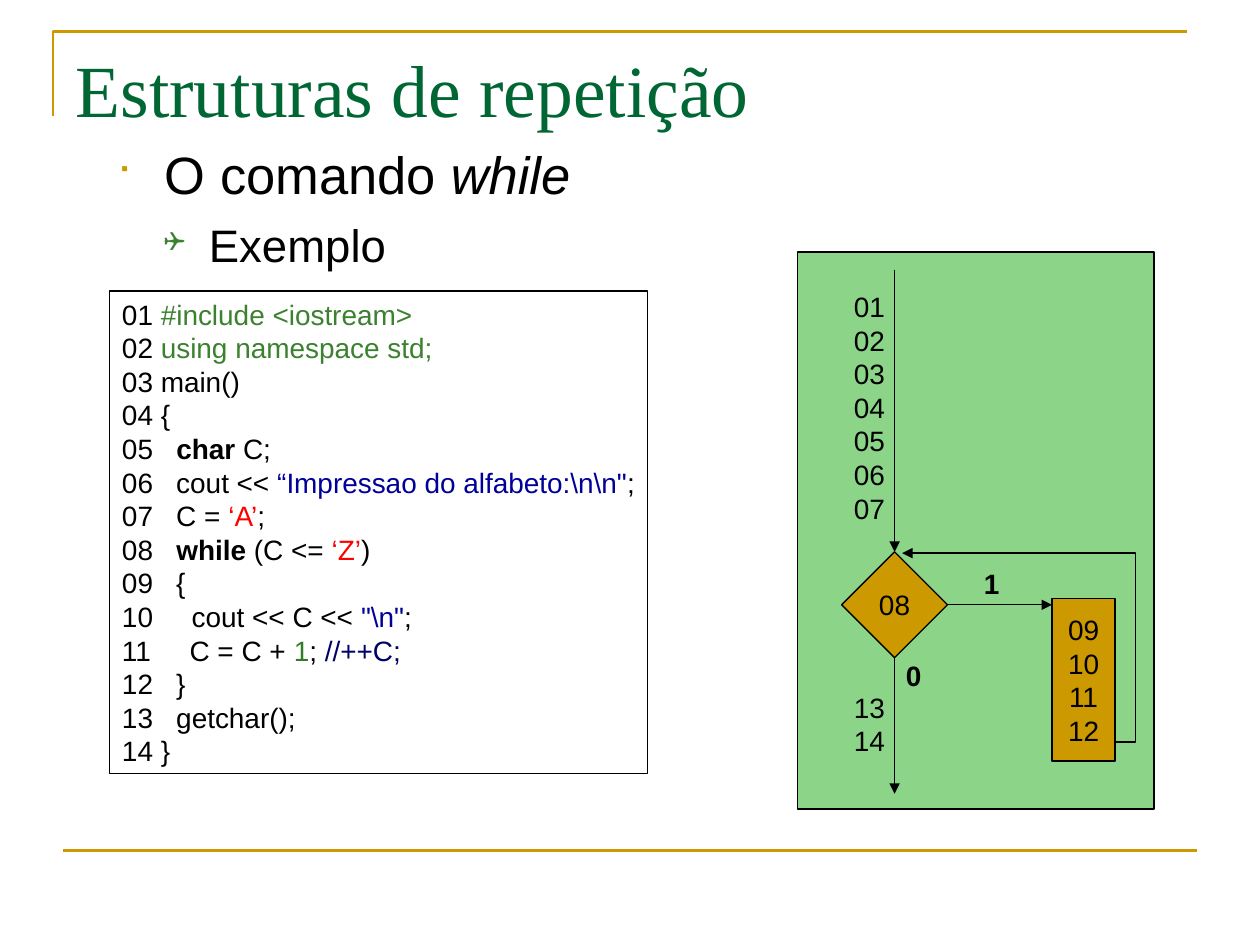
from typing import NamedTuple

from lxml.etree import SubElement
from pptx import Presentation
from pptx.dml.color import RGBColor
from pptx.enum.shapes import MSO_CONNECTOR, MSO_SHAPE
from pptx.enum.text import MSO_ANCHOR, MSO_AUTO_SIZE, PP_ALIGN
from pptx.oxml.ns import qn
from pptx.util import Inches, Pt

BLACK = RGBColor(0x00, 0x00, 0x00)
WHITE = RGBColor(0xFF, 0xFF, 0xFF)
GOLD = RGBColor(0xCC, 0x99, 0x00)
TITLE_GREEN = RGBColor(0x00, 0x66, 0x33)
CODE_GREEN = RGBColor(0x3B, 0x81, 0x2F)
NUMBER_GREEN = RGBColor(0x30, 0x7C, 0x2C)
PANEL_GREEN = RGBColor(0x8C, 0xD4, 0x88)
STRING_BLUE = RGBColor(0x00, 0x00, 0x99)
COMMENT_BLUE = RGBColor(0x00, 0x00, 0x66)
RED = RGBColor(0xFF, 0x00, 0x00)


class Run(NamedTuple):
    text: str
    color: RGBColor = BLACK
    bold: bool = False
    italic: bool = False


class Bullet(NamedTuple):
    char: str
    color: RGBColor
    percent: int
    left: float
    hanging: float
    size: int
    before: float
    runs: list[Run]


class Label(NamedTuple):
    left: float
    top: float
    width: float
    height: float
    lines: list[str]
    bold: bool = False


BULLETS = [
    Bullet("■", GOLD, 65, 0.38, 0.38, 30, 0,
           [Run("O comando "), Run("while", italic=True)]),
    Bullet("❑", CODE_GREEN, 60, 0.73, 0.36, 26, 6.5, [Run("Exemplo")]),
]

CODE = [
    [Run("01 "), Run("#include <iostream>", CODE_GREEN)],
    [Run("02 "), Run("using namespace std;", CODE_GREEN)],
    [Run("03 main()")],
    [Run("04 {")],
    [Run("05   "), Run("char", bold=True), Run(" C;")],
    [Run("06   cout << "), Run('“Impressao do alfabeto:\\n\\n"', STRING_BLUE), Run(";")],
    [Run("07   C = "), Run("‘A’", RED), Run(";")],
    [Run("08   "), Run("while", bold=True), Run(" (C <= "), Run("‘Z’", RED), Run(")")],
    [Run("09   {")],
    [Run("10     cout << C << "), Run('"\\n"', STRING_BLUE), Run(";")],
    [Run("11     C = C + "), Run("1", NUMBER_GREEN), Run("; "),
     Run("//++C;", COMMENT_BLUE)],
    [Run("12   }")],
    [Run("13   getchar();")],
    [Run("14 }")],
]


def numbers(first: int, last: int) -> list[str]:
    return [f"{n:02}" for n in range(first, last + 1)]


LABELS = [
    Label(7.71, 4.45, 0.32, 0.37, ["1"], bold=True),
    Label(6.68, 5.43, 0.44, 0.64, numbers(13, 14)),
    Label(7.09, 5.18, 0.32, 0.37, ["0"], bold=True),
    Label(6.68, 2.25, 0.44, 1.97, numbers(1, 7)),
]


def add_runs(p, runs: list[Run], size: float) -> None:
    for run in runs:
        r = p.add_run()
        r.text = run.text
        r.font.name = "Arial"
        r.font.size = Pt(size)
        r.font.bold = run.bold
        r.font.italic = run.italic
        r.font.color.rgb = run.color


def fill_lines(tf, lines: list[list[Run]], align: PP_ALIGN, size: float = 16) -> None:
    tf.word_wrap = False
    for i, runs in enumerate(lines):
        p = tf.paragraphs[0] if i == 0 else tf.add_paragraph()
        p.alignment = align
        add_runs(p, runs, size)


def add_bullet(p, item: Bullet) -> None:
    pPr = p._p.get_or_add_pPr()
    pPr.set("marL", str(Inches(item.left)))
    pPr.set("indent", str(-Inches(item.hanging)))
    p.space_before = Pt(item.before)
    color = SubElement(pPr, qn("a:buClr"))
    SubElement(color, qn("a:srgbClr"), val=str(item.color))
    SubElement(pPr, qn("a:buSzPct"), val=str(item.percent * 1000))
    SubElement(pPr, qn("a:buFont"), typeface="Wingdings")
    SubElement(pPr, qn("a:buChar"), char=item.char)
    add_runs(p, item.runs, item.size)


def add_box(shapes, kind: MSO_SHAPE, left: float, top: float, width: float,
            height: float, fill: RGBColor):
    s = shapes.add_shape(kind, Inches(left), Inches(top), Inches(width), Inches(height))
    s.shadow.inherit = False
    s.fill.solid()
    s.fill.fore_color.rgb = fill
    s.line.color.rgb = BLACK
    s.line.width = Pt(0.75)
    s.text_frame.vertical_anchor = MSO_ANCHOR.MIDDLE
    return s


def add_line(shapes, x1: float, y1: float, x2: float, y2: float,
             color: RGBColor = BLACK, width: float = 0.75, arrow: bool = True):
    c = shapes.add_connector(MSO_CONNECTOR.STRAIGHT, Inches(x1), Inches(y1),
                             Inches(x2), Inches(y2))
    c.line.color.rgb = color
    c.line.width = Pt(width)
    if arrow:
        SubElement(c.line._get_or_add_ln(), qn("a:tailEnd"), type="triangle")
    SubElement(c._element.spPr, qn("a:effectLst"))
    return c


def add_path(shapes, points: list[tuple[float, float]], color: RGBColor,
             width: float) -> None:
    (x, y), *rest = [(Inches(a), Inches(b)) for a, b in points]
    builder = shapes.build_freeform(x, y)
    builder.add_line_segments(rest, close=False)
    s = builder.convert_to_shape()
    s.shadow.inherit = False
    s.fill.background()
    s.line.color.rgb = color
    s.line.width = Pt(width)


def add_heading(shapes) -> None:
    add_path(shapes, [(0.42, 0.92), (0.42, 0.25), (9.42, 0.25)], GOLD, 1.5)
    add_line(shapes, 0.5, 6.75, 9.5, 6.75, GOLD, 1.5, arrow=False)
    title = shapes.title
    title.left, title.top = Inches(0.5), Inches(0.3)
    title.width, title.height = Inches(9), Inches(1.25)
    tf = title.text_frame
    tf.text = "Estruturas de repetição"
    tf.vertical_anchor = MSO_ANCHOR.TOP
    p = tf.paragraphs[0]
    p.alignment = PP_ALIGN.LEFT
    font = p.runs[0].font
    font.name, font.size = "Times New Roman", Pt(42)
    font.color.rgb = TITLE_GREEN

    body = shapes.add_textbox(Inches(0.83), Inches(1.08), Inches(9.17), Inches(5.58))
    tf = body.text_frame
    tf.word_wrap = True
    for i, item in enumerate(BULLETS):
        add_bullet(tf.paragraphs[0] if i == 0 else tf.add_paragraph(), item)


def add_flowchart(shapes) -> None:
    add_box(shapes, MSO_SHAPE.RECTANGLE, 6.33, 2, 2.83, 4.42, PANEL_GREEN)
    test = add_box(shapes, MSO_SHAPE.DIAMOND, 6.68, 4.38, 0.84, 0.84, GOLD)
    fill_lines(test.text_frame, [[Run("08")]], PP_ALIGN.CENTER)
    loop = add_box(shapes, MSO_SHAPE.RECTANGLE, 8.35, 4.75, 0.5, 1.29, GOLD)
    fill_lines(loop.text_frame, [[Run(n)] for n in numbers(9, 12)], PP_ALIGN.CENTER)

    add_line(shapes, 7.1, 2.14, 7.1, 4.38).end_connect(test, 0)
    add_line(shapes, 7.52, 4.8, 8.35, 4.8).begin_connect(test, 3)
    add_line(shapes, 7.1, 5.22, 7.1, 6.3).begin_connect(test, 2)
    add_path(shapes, [(8.85, 5.89), (9.01, 5.89), (9.01, 4.39), (7.18, 4.39)],
             BLACK, 0.75)
    add_line(shapes, 8.16, 4.39, 7.16, 4.39)

    for label in LABELS:
        s = shapes.add_textbox(Inches(label.left), Inches(label.top),
                               Inches(label.width), Inches(label.height))
        tf = s.text_frame
        tf.margin_left = tf.margin_right = 0
        tf.auto_size = MSO_AUTO_SIZE.NONE
        fill_lines(tf, [[Run(t, bold=label.bold)] for t in label.lines],
                   PP_ALIGN.CENTER)


def main() -> None:
    prs = Presentation()
    prs.slide_width, prs.slide_height = Inches(10), Inches(7.5)
    shapes = prs.slides.add_slide(prs.slide_layouts[5]).shapes
    add_heading(shapes)
    code = add_box(shapes, MSO_SHAPE.RECTANGLE, 0.87, 2.31, 4.27, 3.83, WHITE)
    code.text_frame.vertical_anchor = MSO_ANCHOR.TOP
    fill_lines(code.text_frame, CODE, PP_ALIGN.LEFT)
    add_flowchart(shapes)
    prs.save("out.pptx")


if __name__ == "__main__":
    main()
